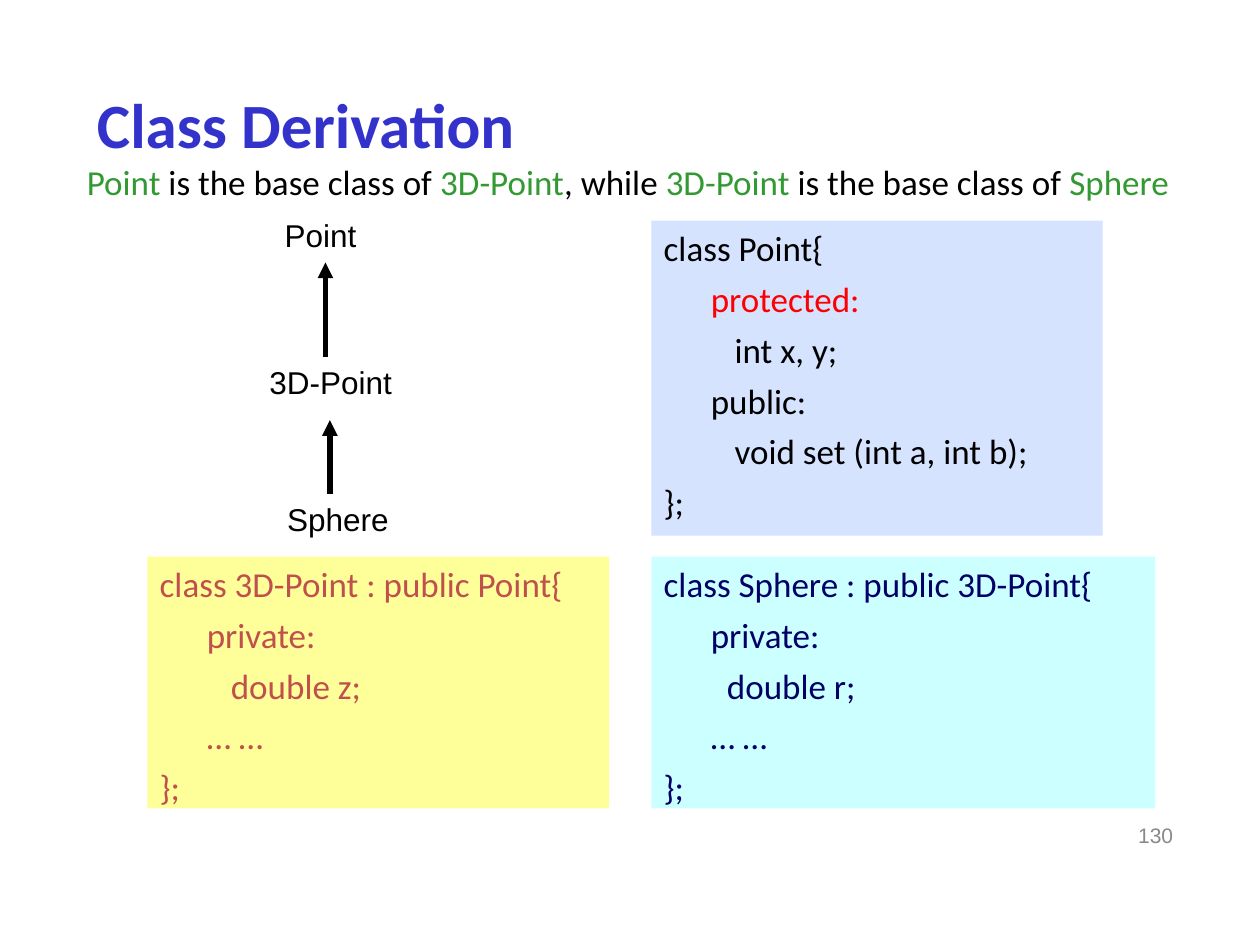
from dataclasses import dataclass

from lxml.etree import SubElement
from pptx import Presentation
from pptx.dml.color import RGBColor
from pptx.enum.shapes import MSO_CONNECTOR as Connector, MSO_SHAPE as Shape
from pptx.enum.text import MSO_ANCHOR as Anchor, MSO_AUTO_SIZE as AutoSize, PP_ALIGN as Align
from pptx.oxml.ns import qn
from pptx.util import Cm, Pt


@dataclass(frozen=True)
class Theme:
    """Fonts, type sizes and colours of the slide."""
    body_font: str = "Calibri"
    label_font: str = "Arial"
    title_size: int = 36
    body_size: int = 20
    label_size: int = 18
    number_size: int = 12
    title: str = "3333CC"
    text: str = "000000"
    class_name: str = "339933"
    keyword: str = "FF0000"
    number: str = "898989"
    point_fill: str = "D5E3FF"
    point_3d_fill: str = "FFFF99"
    point_3d_text: str = "C0504D"
    sphere_fill: str = "CCFFFF"
    sphere_text: str = "000066"


THEME = Theme()


def style(span, font, size, color, bold=False):
    """Format the font of one run."""
    span.font.name = font
    span.font.size = Pt(size)
    span.font.bold = bold
    span.font.color.rgb = RGBColor.from_string(color)


def add_title(page, text):
    """Fill and place the title placeholder."""
    box = page.shapes.title
    box.left, box.top, box.width, box.height = Cm(1.7), Cm(2.01), Cm(21.59), Cm(0.94)
    frame = box.text_frame
    frame.text = text
    frame.vertical_anchor = Anchor.MIDDLE
    frame.auto_size = AutoSize.NONE
    para = frame.paragraphs[0]
    para.alignment = Align.LEFT
    style(para.runs[0], THEME.body_font, THEME.title_size, THEME.title, bold=True)


def add_line_of_text(page, left, top, width, height, spans, font, size):
    """Add a one-line box made of (text, colour) spans."""
    box = page.shapes.add_textbox(Cm(left), Cm(top), Cm(width), Cm(height))
    frame = box.text_frame
    frame.word_wrap = False
    frame.auto_size = AutoSize.SHAPE_TO_FIT_TEXT
    for text, color in spans:
        span = frame.paragraphs[0].add_run()
        span.text = text
        style(span, font, size, color)


def add_class_label(page, left, top, width, text):
    """Add a class name to the hierarchy."""
    add_line_of_text(page, left, top, width, 1.02, [(text, THEME.text)],
                     THEME.label_font, THEME.label_size)


def add_arrow(page, x, top, bottom):
    """Add a vertical arrow pointing up to the base class."""
    arrow = page.shapes.add_connector(Connector.STRAIGHT, Cm(x), Cm(top), Cm(x), Cm(bottom))
    arrow.line.width = Pt(3)
    arrow.line.color.rgb = RGBColor.from_string(THEME.text)
    properties = arrow.element.spPr
    SubElement(properties.find(qn("a:ln")), qn("a:headEnd"), type="triangle")
    SubElement(properties, qn("a:effectLst"))


def add_code(page, left, top, width, height, fill, color, lines, highlight=None):
    """Add a filled box of code, with an optional highlighted line."""
    box = page.shapes.add_shape(Shape.RECTANGLE, Cm(left), Cm(top), Cm(width), Cm(height))
    box.shadow.inherit = False
    box.fill.solid()
    box.fill.fore_color.rgb = RGBColor.from_string(fill)
    box.line.fill.background()
    frame = box.text_frame
    frame.word_wrap = True
    frame.vertical_anchor = Anchor.TOP
    frame.text = "\n".join(lines)
    indent = Cm(0.95)
    for index, para in enumerate(frame.paragraphs):
        para.alignment = Align.LEFT
        para.space_before = Pt(5 if index else 0)
        properties = para._p.get_or_add_pPr()
        properties.set("marL", str(indent))
        properties.set("indent", str(-indent))
        line_color = THEME.keyword if lines[index] == highlight else color
        for span in para.runs:
            style(span, THEME.body_font, THEME.body_size, line_color)


def add_page_number(page, text):
    """Add the right-aligned page number."""
    box = page.shapes.add_textbox(Cm(17.98), Cm(16.33), Cm(5.92), Cm(1.02))
    frame = box.text_frame
    frame.word_wrap = True
    frame.vertical_anchor = Anchor.MIDDLE
    frame.text = text
    para = frame.paragraphs[0]
    para.alignment = Align.RIGHT
    style(para.runs[0], THEME.label_font, THEME.number_size, THEME.number)


def main():
    """Build the class derivation slide."""
    deck = Presentation()
    deck.slide_width, deck.slide_height = Cm(25.4), Cm(19.05)
    page = deck.slides.add_slide(deck.slide_layouts[5])
    add_page_number(page, "130")
    add_title(page, "Class Derivation")

    add_class_label(page, 5.49, 4.24, 2, "Point")
    add_class_label(page, 5.18, 7.19, 3, "3D-Point")
    add_class_label(page, 5.54, 9.96, 2.65, "Sphere")
    add_arrow(page, 6.56, 5.29, 7.19)
    add_arrow(page, 6.65, 8.47, 9.96)

    right, lower = 13.13, 11.22
    add_code(page, right, 4.45, 9.1, 6.35, THEME.point_fill, THEME.text,
             ["class Point{", "\tprotected:", "\t   int x, y;", "\tpublic:",
              "\t   void set (int a, int b);", "};"], highlight="\tprotected:")
    add_code(page, 2.97, lower, 9.31, 5.08, THEME.point_3d_fill, THEME.point_3d_text,
             ["class 3D-Point : public Point{", "\tprivate:", "         double z;",
              "\t… …", "};"])
    add_code(page, right, lower, 10.16, 5.08, THEME.sphere_fill, THEME.sphere_text,
             ["class Sphere : public 3D-Point{", "\tprivate:", "        double r;",
              "\t… …", "};"])

    name, plain = THEME.class_name, THEME.text
    summary = [("Point", name), (" is the base class of ", plain), ("3D-Point", name),
               (", while ", plain), ("3D-Point", name), (" is the base class of ", plain),
               ("Sphere", name)]
    add_line_of_text(page, 1.5, 3.12, 22.4, 1.12, summary, THEME.body_font, THEME.body_size)
    deck.save("out.pptx")


if __name__ == "__main__":
    main()
